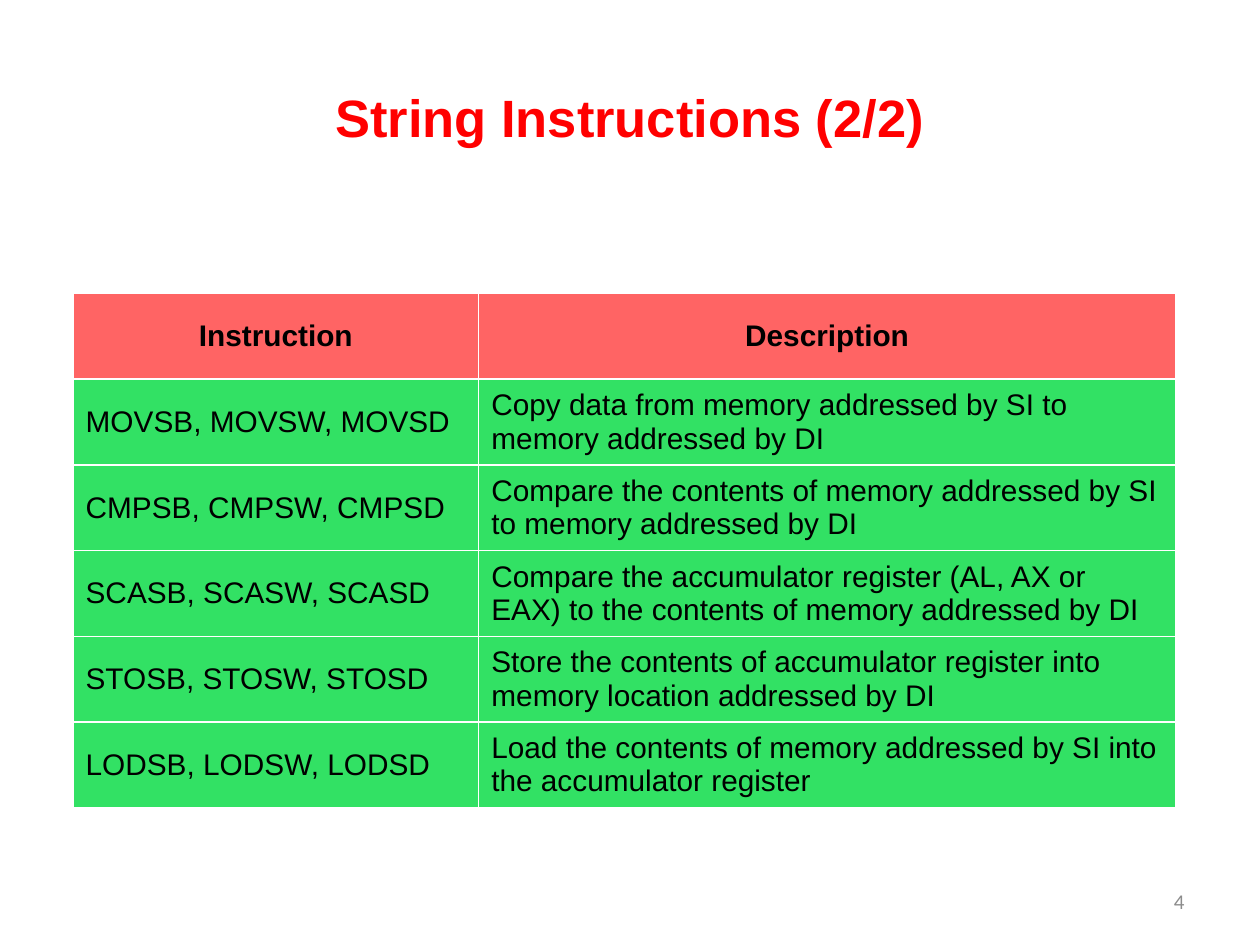
from pptx import Presentation
from pptx.dml.color import RGBColor
from pptx.enum.text import MSO_ANCHOR, PP_ALIGN
from pptx.util import Inches, Pt

RED = RGBColor(0xFF, 0x00, 0x00)
CORAL = RGBColor(0xFF, 0x64, 0x64)
GREEN = RGBColor(0x32, 0xE1, 0x64)
BLACK = RGBColor(0x00, 0x00, 0x00)
GRAY = RGBColor(0x8C, 0x8C, 0x8C)

INSTRUCTIONS = [
    ("Instruction", "Description"),
    ("MOVSB, MOVSW, MOVSD",
     "Copy data from memory addressed by SI to memory addressed by DI"),
    ("CMPSB, CMPSW, CMPSD",
     "Compare the contents of memory addressed by SI to memory addressed by DI"),
    ("SCASB, SCASW, SCASD",
     "Compare the accumulator register (AL, AX or EAX) to the contents of memory addressed by DI"),
    ("STOSB, STOSW, STOSD",
     "Store the contents of accumulator register into memory location addressed by DI"),
    ("LODSB, LODSW, LODSD",
     "Load the contents of memory addressed by SI into the accumulator register"),
]


class SlideBuilder:
    font = "Arial"
    table_size = 17

    def __init__(self, page):
        self.page = page

    def set_text(self, frame, words, size, color, align, bold=False, font=None):
        frame.text = words
        para = frame.paragraphs[0]
        para.alignment = align
        span = para.runs[0].font
        span.name = font or self.font
        span.size = Pt(size)
        span.bold = bold
        span.color.rgb = color

    def text(self, words, left, top, width, height, **style):
        box = self.page.shapes.add_textbox(
            Inches(left), Inches(top), Inches(width), Inches(height))
        frame = box.text_frame
        frame.word_wrap = True
        frame.vertical_anchor = MSO_ANCHOR.MIDDLE
        self.set_text(frame, words, **style)

    def table(self, rows, left, top, widths, row_height):
        table = self.page.shapes.add_table(
            len(rows), len(widths), Inches(left), Inches(top),
            Inches(sum(widths)), Inches(row_height * len(rows))).table
        table.horz_banding = False
        for column, width in zip(table.columns, widths):
            column.width = Inches(width)
        for row_index, row in enumerate(rows):
            header = row_index == 0
            table.rows[row_index].height = Inches(row_height)
            for column_index, words in enumerate(row):
                cell = table.cell(row_index, column_index)
                cell.vertical_anchor = MSO_ANCHOR.MIDDLE
                cell.fill.solid()
                cell.fill.fore_color.rgb = CORAL if header else GREEN
                align = PP_ALIGN.CENTER if header else PP_ALIGN.LEFT
                self.set_text(cell.text_frame, words, self.table_size, BLACK, align, bold=header)


def main():
    deck = Presentation()
    deck.slide_width = Inches(10)
    deck.slide_height = Inches(7.5)
    builder = SlideBuilder(deck.slides.add_slide(deck.slide_layouts[6]))
    builder.text("String Instructions (2/2)", 0.5, 0.3, 9, 1.25,
                 size=30, color=RED, align=PP_ALIGN.CENTER, bold=True)
    builder.table(INSTRUCTIONS, 0.58, 2.33, widths=(3.22, 5.53), row_height=0.68)
    builder.text("4", 7.17, 6.95, 2.33, 0.4,
                 size=12, color=GRAY, align=PP_ALIGN.RIGHT, font="Calibri")
    deck.save("out.pptx")


if __name__ == "__main__":
    main()
